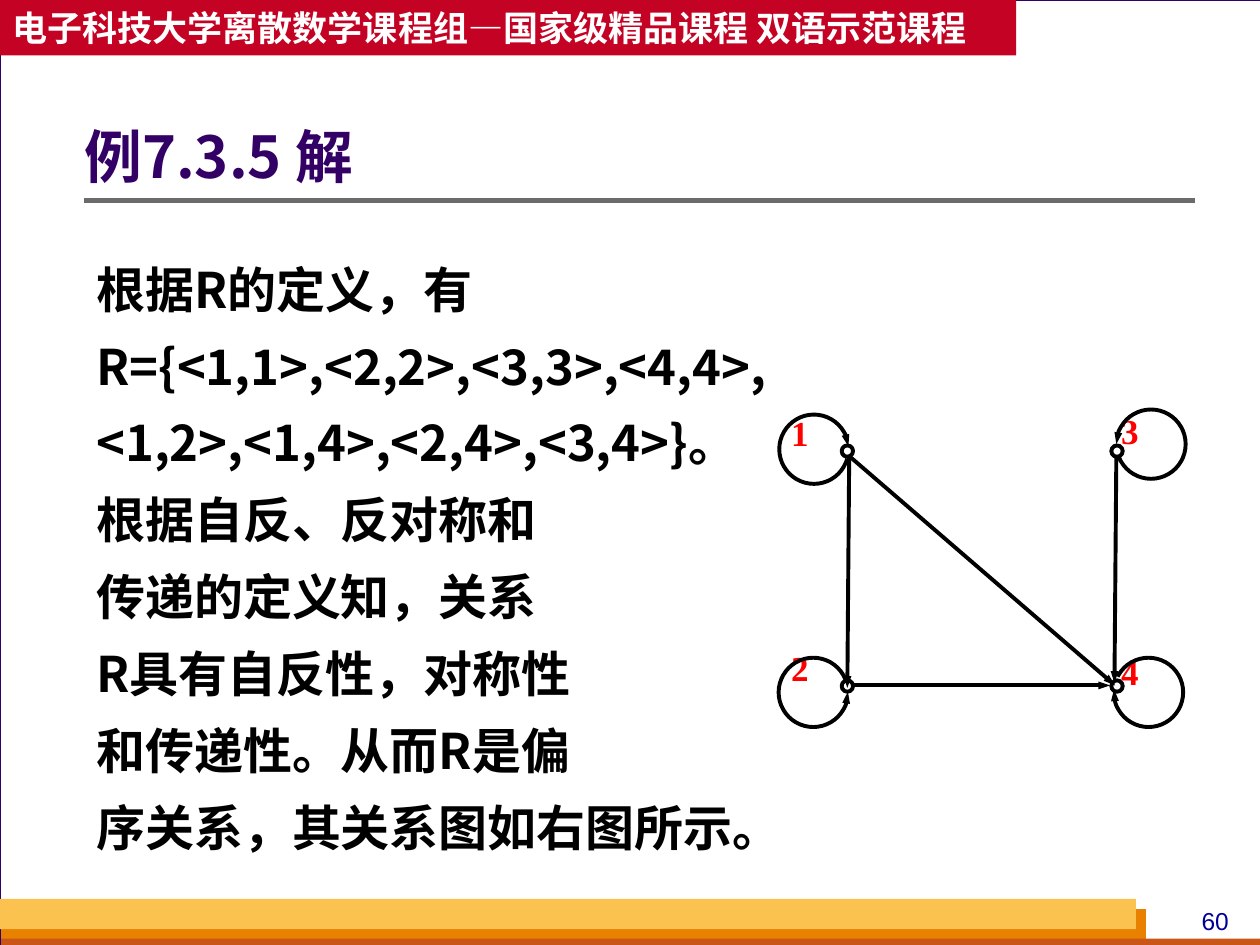
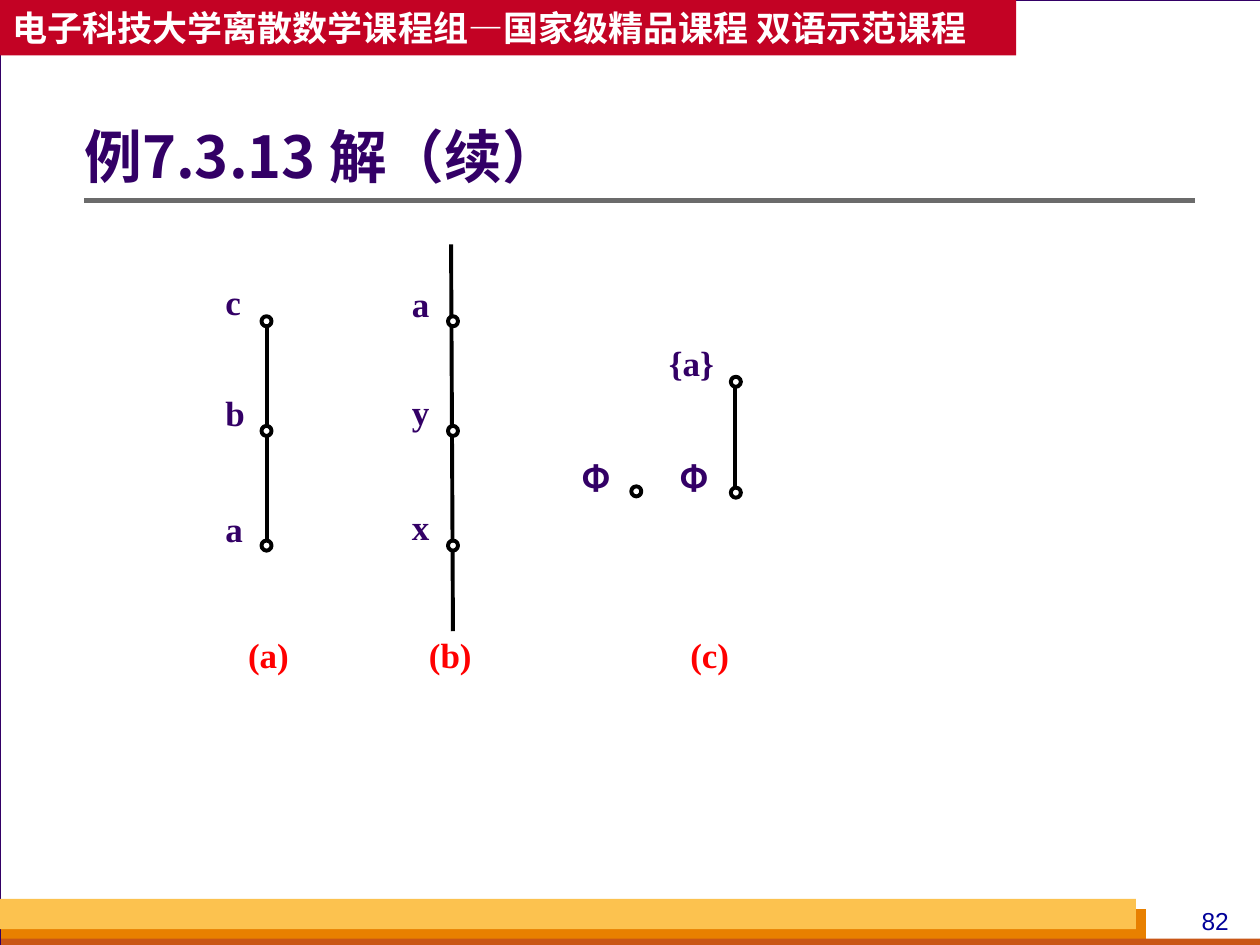
"""Build two discrete mathematics slides: a relation digraph and Hasse diagrams."""
from dataclasses import dataclass
from typing import Any, NamedTuple, Optional

from lxml import etree
from pptx import Presentation
from pptx.dml.color import RGBColor
from pptx.enum.shapes import MSO_CONNECTOR, MSO_SHAPE
from pptx.enum.text import MSO_ANCHOR, MSO_AUTO_SIZE, PP_ALIGN
from pptx.oxml.ns import qn
from pptx.util import Inches, Pt

RECTANGLE, OVAL, ARC = MSO_SHAPE.RECTANGLE, MSO_SHAPE.OVAL, MSO_SHAPE.ARC
STRAIGHT = MSO_CONNECTOR.STRAIGHT
LEFT, CENTER = PP_ALIGN.LEFT, PP_ALIGN.CENTER
TOP, MIDDLE = MSO_ANCHOR.TOP, MSO_ANCHOR.MIDDLE
NO_AUTOFIT = MSO_AUTO_SIZE.NONE

COLUMNS, ROWS = 100, 75
CELL = Inches(0.1)
TITLE_AND_BODY, TITLE_ONLY = 1, 5
FIRST_MASTER_ID = 100
ARC_DEGREE = 0.6


class TextStyle(NamedTuple):
    size: float
    font: str
    color: str
    bold: bool = True


@dataclass(frozen=True)
class Theme:
    background: str = "D8DADA"
    paper: str = "FFFFFF"
    ink: str = "000000"
    frame: str = "330066"
    rule: str = "6B6B6B"
    crimson: str = "C30224"
    orange: str = "E88000"
    rust: str = "C95616"
    amber: str = "FCC24F"
    frame_width: float = 0.75
    rule_width: float = 3
    stroke: float = 2.25
    title: TextStyle = TextStyle(33, "Noto Sans CJK SC", "330066")
    body: TextStyle = TextStyle(28, "Noto Sans CJK SC", "000000")
    course: TextStyle = TextStyle(20, "Noto Sans CJK SC", "FFFFFF")
    number: TextStyle = TextStyle(14, "Arial", "000099", False)
    element: TextStyle = TextStyle(20, "Times New Roman", "330066")
    symbol: TextStyle = TextStyle(20, "Noto Sans CJK SC", "330066")
    caption: TextStyle = TextStyle(20, "Times New Roman", "FF0000")


class Box(NamedTuple):
    column: float
    row: float
    columns: float
    rows: float


class Band(NamedTuple):
    box: Box
    fill: str
    line: Optional[str] = None


class Edge(NamedTuple):
    start: tuple[float, float]
    end: tuple[float, float]


class Label(NamedTuple):
    text: str
    column: float
    row: float
    style: TextStyle


class Loop(NamedTuple):
    column: float
    row: float
    start_angle: float
    end_angle: float
    arrow: str


THEME = Theme()
COURSE = "电子科技大学离散数学课程组—国家级精品课程 双语示范课程"
BANDS = (
    Band(Box(0, 0, COLUMNS + 0.1, ROWS), THEME.paper, THEME.frame),
    Band(Box(0.1, 72.15, 90.85, 2.85), THEME.orange),
    Band(Box(0.1, 74.5, COLUMNS, 0.8), THEME.rust),
    Band(Box(0, 71.35, 90.15, 2.4), THEME.amber),
)
COURSE_BAND = Band(Box(0, 0, 80.65, 4.4), THEME.crimson)
TITLE_RULE = Edge((6.7, 15.9), (94.85, 15.9))
TITLE_BOX = Box(6.7, 7.6, 88.2, 10.1)
BODY_BOX = Box(6.65, 19.6, 88.2, 50.2)
NUMBER_BOX = Box(93.3, 71.4, 6.3, 3.4)
LABEL_SIZE = (9.9, 6.8)
MARGINS = {"margin_left": CELL, "margin_right": CELL,
           "margin_top": CELL // 2, "margin_bottom": CELL // 2}

BODY_LINES = (
    "根据R的定义，有",
    "R={<1,1>,<2,2>,<3,3>,<4,4>,",
    "<1,2>,<1,4>,<2,4>,<3,4>}。",
    "根据自反、反对称和",
    "传递的定义知，关系",
    "R具有自反性，对称性",
    "和传递性。从而R是偏",
    "序关系，其关系图如右图所示。",
)
VERTEX_COLUMNS, VERTEX_ROWS = (67.25, 88.65), (35.8, 54.45)
VERTEX_SIZE, LOOP_SIZE = 0.9, 5.5
VERTEX_LABELS = tuple(Label(text, column, row, THEME.caption) for text, column, row in (
    ("1", 61.8, 32.2), ("2", 61.8, 50.8), ("3", 88, 32), ("4", 88, 51.1)))
LOOPS = (
    Loop(64.6, 35.65, 16, 355, "tailEnd"),
    Loop(64.55, 54.95, 359, 338, "headEnd"),
    Loop(91.35, 35.25, 180, 158, "headEnd"),
    Loop(91.15, 54.95, 207, 185, "tailEnd"),
)
ARROWS = (
    Edge((67.4, 36.2), (88.5, 54.4)),
    Edge((88.6, 36.2), (88.45, 54.2)),
    Edge((67.7, 54.4), (88.1, 54.4)),
    Edge((67.4, 36.1), (67.25, 54.6)),
)

CHAIN_COLUMNS, CHAIN_ROWS = (21.15, 35.95), (25.5, 34.2, 43.3)
HASSE_NODES = tuple((column, row) for column in CHAIN_COLUMNS for row in CHAIN_ROWS) + (
    (50.5, 39), (58.4, 30.3), (58.4, 39.1))
HASSE_SIZE = 0.8
HASSE_EDGES = (
    Edge((35.8, 19.4), (35.95, 50.1)),
    Edge((21.2, 25.8), (21.2, 43)),
    Edge((58.3, 30.8), (58.3, 38.9)),
)
HASSE_LABELS = tuple(Label(text, column, row, THEME.element) for text, column, row in (
    ("c", 16.9, 21.8), ("b", 16.9, 30.6), ("a", 16.9, 39.8),
    ("a", 31.7, 21.9), ("y", 31.7, 30.5), ("x", 31.7, 39.6), ("{a}", 52.1, 26.6),
)) + tuple(Label("Φ", column, 35.75, THEME.symbol) for column in (45.15, 52.95)) + tuple(
    Label(text, column, 49.8, THEME.caption)
    for text, column in (("(a)", 18.7), ("(b)", 33.05), ("(c)", 53.8)))


def grid(*cells: float) -> list[int]:
    """Turn grid cells into lengths."""
    return [round(cell * CELL) for cell in cells]


def assign(target: Any, values: dict[str, Any]) -> None:
    """Set every named attribute of a target."""
    for name, value in values.items():
        setattr(target, name, value)


def place(shape: Any, box: Box) -> None:
    """Move and size a shape on the grid."""
    assign(shape, dict(zip(("left", "top", "width", "height"), grid(*box))))


def set_line(line: Any, color: str, width: float) -> None:
    """Give an outline its colour and width in points."""
    line.color.rgb = RGBColor.from_string(color)
    line.width = Pt(width)


def write(shape: Any, lines: tuple[str, ...], style: TextStyle, frame_format: dict[str, Any],
          paragraph_format: dict[str, Any], space_before: float = 0) -> None:
    """Fill a shape with one formatted paragraph for each line."""
    frame = shape.text_frame
    assign(frame, {"word_wrap": True, "auto_size": NO_AUTOFIT, "vertical_anchor": TOP,
                   **MARGINS, **frame_format})
    for index, line in enumerate(lines):
        paragraph = frame.add_paragraph() if index else frame.paragraphs[0]
        assign(paragraph, {"alignment": LEFT, "space_before": Pt(space_before if index else 0),
                           **paragraph_format})
        run = paragraph.add_run()
        run.text = line
        assign(run.font, {"size": Pt(style.size), "bold": style.bold, "name": style.font})
        run.font.color.rgb = RGBColor.from_string(style.color)
        east_asian = etree.SubElement(run.font._element, qn("a:ea"))
        east_asian.set("typeface", style.font)


def add_band(slide: Any, band: Band) -> Any:
    """Draw a filled rectangle, outlined only when it has a line colour."""
    shape = slide.shapes.add_shape(RECTANGLE, *grid(*band.box))
    shape.shadow.inherit = False
    shape.fill.solid()
    shape.fill.fore_color.rgb = RGBColor.from_string(band.fill)
    if band.line:
        set_line(shape.line, band.line, THEME.frame_width)
    else:
        shape.line.fill.background()
    return shape


def add_arrowhead(shape: Any, end: str) -> None:
    """Put a narrow triangle on one end of a line."""
    outline = shape.element.spPr.find(qn("a:ln"))
    etree.SubElement(outline, qn(f"a:{end}"), type="triangle", w="sm", len="med")


def add_edge(slide: Any, edge: Edge, color: str = THEME.ink, width: float = THEME.stroke) -> Any:
    """Draw a straight line between two grid points."""
    connector = slide.shapes.add_connector(STRAIGHT, *grid(*edge.start, *edge.end))
    set_line(connector.line, color, width)
    etree.SubElement(connector.element.spPr, qn("a:effectLst"))
    return connector


def add_node(slide: Any, column: float, row: float, size: float) -> None:
    """Draw a small open circle around a grid point."""
    box = Box(column - size / 2, row - size / 2, size, size)
    node = slide.shapes.add_shape(OVAL, *grid(*box))
    node.shadow.inherit = False
    node.fill.solid()
    node.fill.fore_color.rgb = RGBColor.from_string(THEME.paper)
    set_line(node.line, THEME.ink, THEME.stroke)


def add_loop(slide: Any, loop: Loop) -> None:
    """Draw a self-loop as a nearly closed arc with an arrowhead."""
    half = LOOP_SIZE / 2
    box = Box(loop.column - half, loop.row - half, LOOP_SIZE, LOOP_SIZE)
    arc = slide.shapes.add_shape(ARC, *grid(*box))
    arc.shadow.inherit = False
    arc.fill.background()
    for index, angle in enumerate((loop.start_angle, loop.end_angle)):
        arc.adjustments[index] = angle * ARC_DEGREE
    set_line(arc.line, THEME.ink, THEME.stroke)
    add_arrowhead(arc, loop.arrow)


def add_label(slide: Any, label: Label) -> None:
    """Write a short diagram label."""
    box = Box(label.column, label.row, *LABEL_SIZE)
    write(slide.shapes.add_textbox(*grid(*box)), (label.text,), label.style, {}, {})


def build_master(presentation: Any, slide: Any) -> None:
    """Draw the shared bands and rule, then move them to the master."""
    master = presentation.slide_master
    master.background.fill.solid()
    master.background.fill.fore_color.rgb = RGBColor.from_string(THEME.background)
    shared = [add_band(slide, band) for band in BANDS]
    shared.append(add_edge(slide, TITLE_RULE, THEME.rule, THEME.rule_width))
    course = add_band(slide, COURSE_BAND)
    write(course, (COURSE,), THEME.course, {"vertical_anchor": MIDDLE}, {})
    for identifier, shape in enumerate([*shared, course], FIRST_MASTER_ID):
        shape.element.xpath(".//p:cNvPr")[0].set("id", str(identifier))
        master.shapes.element.append(shape.element)


def add_slide(presentation: Any, layout: int, title: str, number: str) -> Any:
    """Add a slide with its title and page number."""
    slide = presentation.slides.add_slide(presentation.slide_layouts[layout])
    place(slide.shapes.title, TITLE_BOX)
    write(slide.shapes.title, (title,), THEME.title,
          {"vertical_anchor": MIDDLE, "margin_left": 0}, {"line_spacing": 0.9})
    number_box = slide.shapes.add_textbox(*grid(*NUMBER_BOX))
    write(number_box, (number,), THEME.number, {}, {"alignment": CENTER})
    return slide


def build_relation(slide: Any) -> None:
    """Fill the slide with the argument and its relation digraph."""
    body = slide.placeholders[1]
    place(body, BODY_BOX)
    write(body, BODY_LINES, THEME.body, {}, {"line_spacing": 1.1}, space_before=7)
    for paragraph in body.text_frame.paragraphs:
        properties = paragraph._p.get_or_add_pPr()
        for name in ("marL", "indent"):
            properties.set(name, "0")
        etree.SubElement(properties, qn("a:buNone"))
    for column in VERTEX_COLUMNS:
        for row in VERTEX_ROWS:
            add_node(slide, column, row, VERTEX_SIZE)
    for label in VERTEX_LABELS:
        add_label(slide, label)
    for loop in LOOPS:
        add_loop(slide, loop)
    for arrow in ARROWS:
        add_arrowhead(add_edge(slide, arrow), "tailEnd")


def build_hasse(slide: Any) -> None:
    """Fill the slide with the Hasse diagrams."""
    for edge in HASSE_EDGES:
        add_edge(slide, edge)
    for column, row in HASSE_NODES:
        add_node(slide, column, row, HASSE_SIZE)
    for label in HASSE_LABELS:
        add_label(slide, label)


def main() -> None:
    """Build and save the presentation."""
    presentation = Presentation()
    assign(presentation, {"slide_width": COLUMNS * CELL, "slide_height": ROWS * CELL})
    relation = add_slide(presentation, TITLE_AND_BODY, "例7.3.5 解", "60")
    build_master(presentation, relation)
    build_relation(relation)
    build_hasse(add_slide(presentation, TITLE_ONLY, "例7.3.13 解（续）", "82"))
    presentation.save("out.pptx")


if __name__ == "__main__":
    main()
